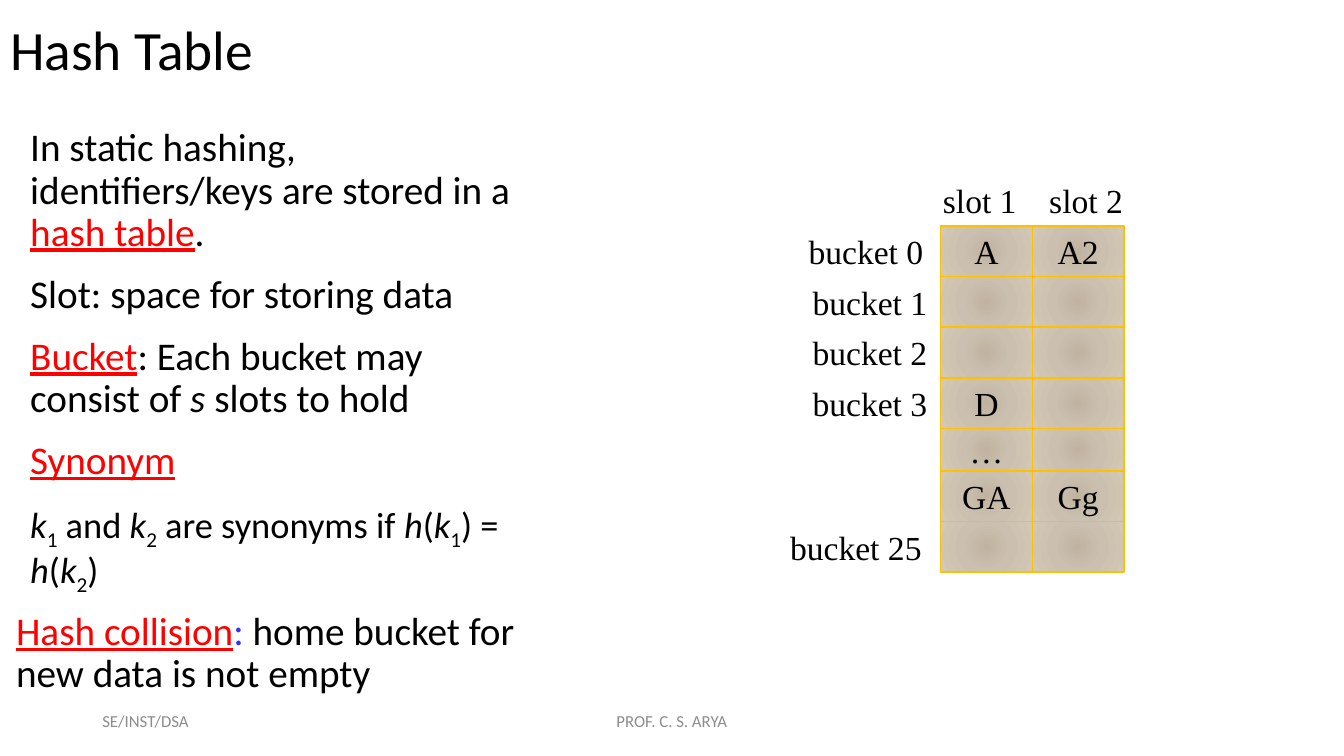
from dataclasses import dataclass
from itertools import accumulate, product
from typing import NamedTuple

from lxml import etree
from pptx import Presentation
from pptx.dml.color import RGBColor
from pptx.enum import shapes, text
from pptx.oxml import ns
from pptx.util import Pt


@dataclass(frozen=True)
class Theme:
    black: str = "000000"
    term: str = "FF0000"
    colon: str = "3333FF"
    footer: str = "8C8C8C"
    border: str = "FFC000"
    cell_stops: tuple = ((0, "C0B39F"), (45, "CBBFAF"), (100, "D3C8B5"))
    sans: str = "Calibri"
    serif: str = "Times New Roman"
    title_size: float = 39.6
    body_size: float = 28
    formula_size: float = 26
    table_size: float = 24
    footer_size: float = 12


THEME = Theme()


class Box(NamedTuple):
    left: float
    top: float
    width: float
    height: float


class Span(NamedTuple):
    text: str
    color: str = THEME.black
    underline: bool = False
    italic: bool = False
    subscript: bool = False


class BodyParagraph(NamedTuple):
    spans: list[Span]
    size: float = THEME.body_size
    indent: float = 21.6


class BucketLabel(NamedTuple):
    text: str
    row: int
    left: float
    width: float


class SlotHeader(NamedTuple):
    text: str
    left: float
    width: float


def term(word: str) -> Span:
    return Span(word, color=THEME.term, underline=True)


def variable(word: str) -> Span:
    return Span(word, italic=True)


def key(index: int) -> list[Span]:
    return [variable("k"), Span(str(index), subscript=True)]


def hash_of(index: int) -> list[Span]:
    return [variable("h"), Span("("), *key(index)]


BODY = [
    BodyParagraph([Span("In static hashing, identifiers/keys are stored in a "), term("hash table"), Span(".")]),
    BodyParagraph([Span("Slot: space for storing data")]),
    BodyParagraph([term("Bucket"), Span(": Each bucket may consist of "), variable("s"), Span(" slots to hold")]),
    BodyParagraph([term("Synonym")]),
    BodyParagraph(
        [*key(1), Span(" and "), *key(2), Span(" are synonyms if "), *hash_of(1), Span(") = "), *hash_of(2), Span(")")],
        size=THEME.formula_size,
    ),
    BodyParagraph(
        [term("Hash collision"), Span(": ", color=THEME.colon), Span("home bucket for new data is not empty")],
        indent=11.5,
    ),
]

ROWS = [("A", "A2"), ("", ""), ("", ""), ("D", ""), ("…", ""), ("GA", "Gg"), ("", "")]
ROW_HEIGHTS = [36.2] * 4 + [30.2] + [36.2] * 2
TABLE_LEFT, TABLE_TOP, CELL_WIDTH = 671.8, 161.3, 65.5
ROW_TOPS = list(accumulate(ROW_HEIGHTS, initial=TABLE_TOP))
LABEL_HEIGHT = 36.3

BUCKET_LABELS = [
    BucketLabel("bucket 0", 0, 565.2, 106.6),
    *(BucketLabel(f"bucket {row}", row, 571, 100.8) for row in (1, 2, 3)),
    BucketLabel("bucket 25", 6, 549.4, 123.8),
]
SLOT_HEADERS = [SlotHeader("slot 1", 661.7, 76.3), SlotHeader("slot 2", 737.3, 77)]


def format_font(font, name: str, size: float, color: str) -> None:
    font.name = name
    font.size = Pt(size)
    font.color.rgb = RGBColor.from_string(color)


def write_line(text_frame, line: str, font_name: str, size: float, color: str, alignment, anchor) -> None:
    text_frame.text = line
    text_frame.word_wrap = True
    text_frame.auto_size = text.MSO_AUTO_SIZE.NONE
    text_frame.vertical_anchor = anchor
    paragraph = text_frame.paragraphs[0]
    paragraph.alignment = alignment
    for run in paragraph.runs:
        format_font(run.font, font_name, size, color)


def add_label(slide, box: Box, label: str) -> None:
    textbox = slide.shapes.add_textbox(*map(Pt, box))
    write_line(textbox.text_frame, label, THEME.serif, THEME.table_size, THEME.black,
               text.PP_ALIGN.CENTER, text.MSO_ANCHOR.TOP)


def add_footer(slide, box: Box, label: str, alignment) -> None:
    textbox = slide.shapes.add_textbox(*map(Pt, box))
    write_line(textbox.text_frame, label, THEME.sans, THEME.footer_size, THEME.footer,
               alignment, text.MSO_ANCHOR.MIDDLE)


def fill_radial(shape) -> None:
    """Fill the shape with the theme's gradient, running outward from its centre."""
    shape.fill.background()
    gradient = etree.Element(ns.qn("a:gradFill"), rotWithShape="1")
    stops = etree.SubElement(gradient, ns.qn("a:gsLst"))
    for position, color in THEME.cell_stops:
        stop = etree.SubElement(stops, ns.qn("a:gs"), pos=str(position * 1000))
        etree.SubElement(stop, ns.qn("a:srgbClr"), val=color)
    circle = etree.SubElement(gradient, ns.qn("a:path"), {"path": "circle"})
    etree.SubElement(circle, ns.qn("a:fillToRect"), dict.fromkeys("ltrb", "50000"))
    properties = shape._element.spPr
    properties.replace(properties.find(ns.qn("a:noFill")), gradient)


def add_cell(slide, box: Box, value: str) -> None:
    cell = slide.shapes.add_shape(shapes.MSO_SHAPE.RECTANGLE, *map(Pt, box))
    cell.shadow.inherit = False
    fill_radial(cell)
    cell.line.color.rgb = RGBColor.from_string(THEME.border)
    cell.line.width = Pt(1)
    if value:
        write_line(cell.text_frame, value, THEME.serif, THEME.table_size, THEME.black,
                   text.PP_ALIGN.CENTER, text.MSO_ANCHOR.MIDDLE)


def add_hash_table(slide) -> None:
    for row, column in product(range(len(ROWS)), range(2)):
        left = TABLE_LEFT + column * CELL_WIDTH
        add_cell(slide, Box(left, ROW_TOPS[row], CELL_WIDTH, ROW_HEIGHTS[row]), ROWS[row][column])
    for header in SLOT_HEADERS:
        add_label(slide, Box(header.left, 124.6, header.width, LABEL_HEIGHT), header.text)
    for label in BUCKET_LABELS:
        add_label(slide, Box(label.left, ROW_TOPS[label.row], label.width, LABEL_HEIGHT), label.text)


def add_body(slide, box: Box) -> None:
    text_frame = slide.shapes.add_textbox(*map(Pt, box)).text_frame
    text_frame.word_wrap = True
    text_frame.margin_left = text_frame.margin_right = 0
    for index, item in enumerate(BODY):
        paragraph = text_frame.add_paragraph() if index else text_frame.paragraphs[0]
        paragraph.line_spacing = 0.9
        paragraph.space_before = Pt(14 if index else 0)
        paragraph._p.get_or_add_pPr().set("marL", str(Pt(item.indent)))
        for span in item.spans:
            run = paragraph.add_run()
            run.text = span.text
            format_font(run.font, THEME.sans, item.size, span.color)
            run.font.underline = span.underline
            run.font.italic = span.italic
            if span.subscript:
                run._r.get_or_add_rPr().set("baseline", "-25000")


def format_title(title, box: Box) -> None:
    title.left, title.top, title.width, title.height = map(Pt, box)
    write_line(title.text_frame, "Hash Table", THEME.sans, THEME.title_size, THEME.black,
               text.PP_ALIGN.LEFT, text.MSO_ANCHOR.BOTTOM)
    title.text_frame.margin_bottom = Pt(7.2)
    title.text_frame.paragraphs[0].line_spacing = 0.85


def main() -> None:
    presentation = Presentation()
    presentation.slide_width, presentation.slide_height = Pt(960), Pt(540)
    slide = presentation.slides.add_slide(presentation.slide_layouts.get_by_name("Title Only"))
    format_title(slide.shapes.title, Box(0, 21.6, 648, 43.9))
    add_body(slide, Box(0, 87.8, 385.2, 416.2))
    add_hash_table(slide)
    add_footer(slide, Box(66, 500.5, 216, 28.8), "SE/INST/DSA", text.PP_ALIGN.LEFT)
    add_footer(slide, Box(318, 500.5, 324, 28.8), "PROF. C. S. ARYA", text.PP_ALIGN.CENTER)
    presentation.save("out.pptx")


if __name__ == "__main__":
    main()
